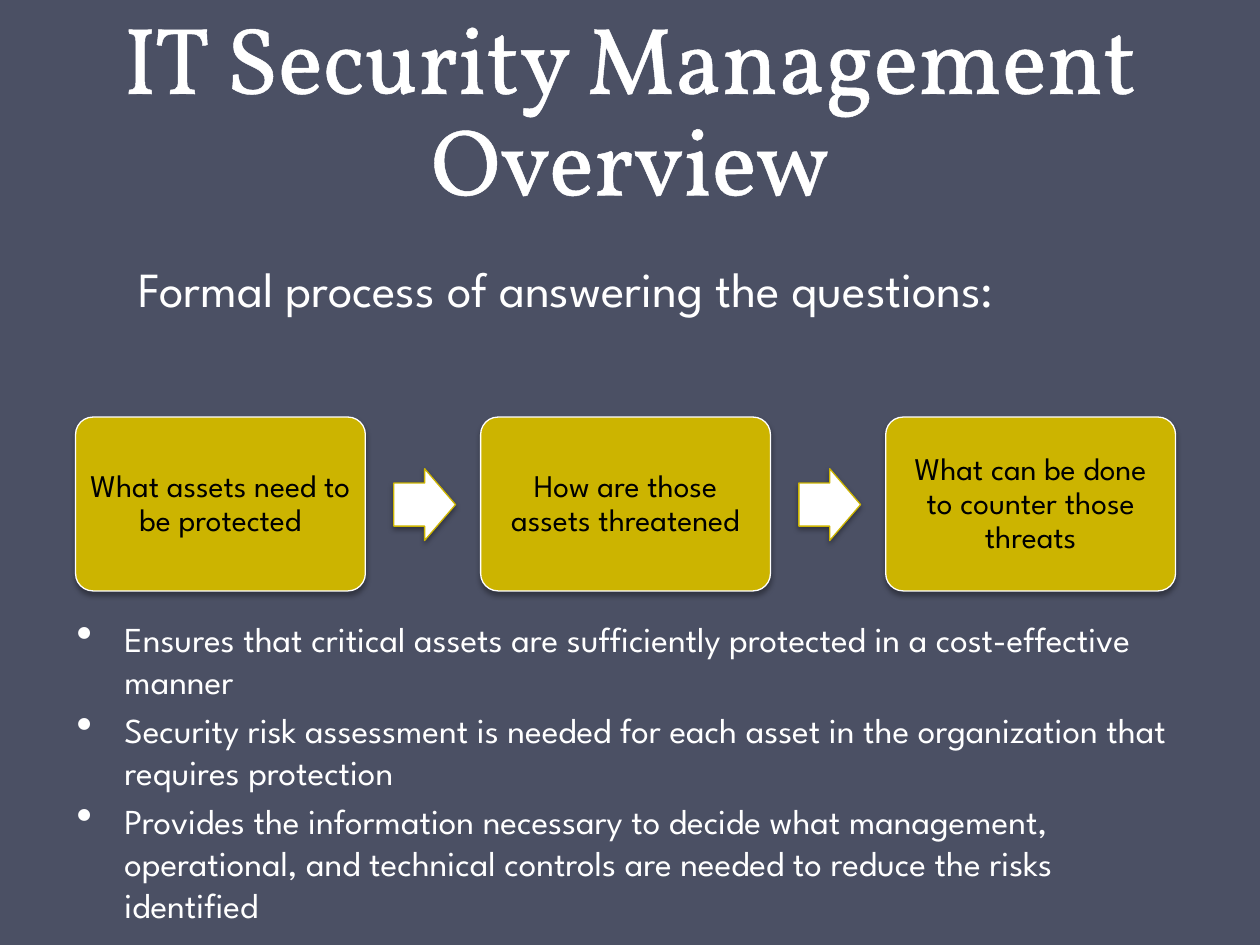
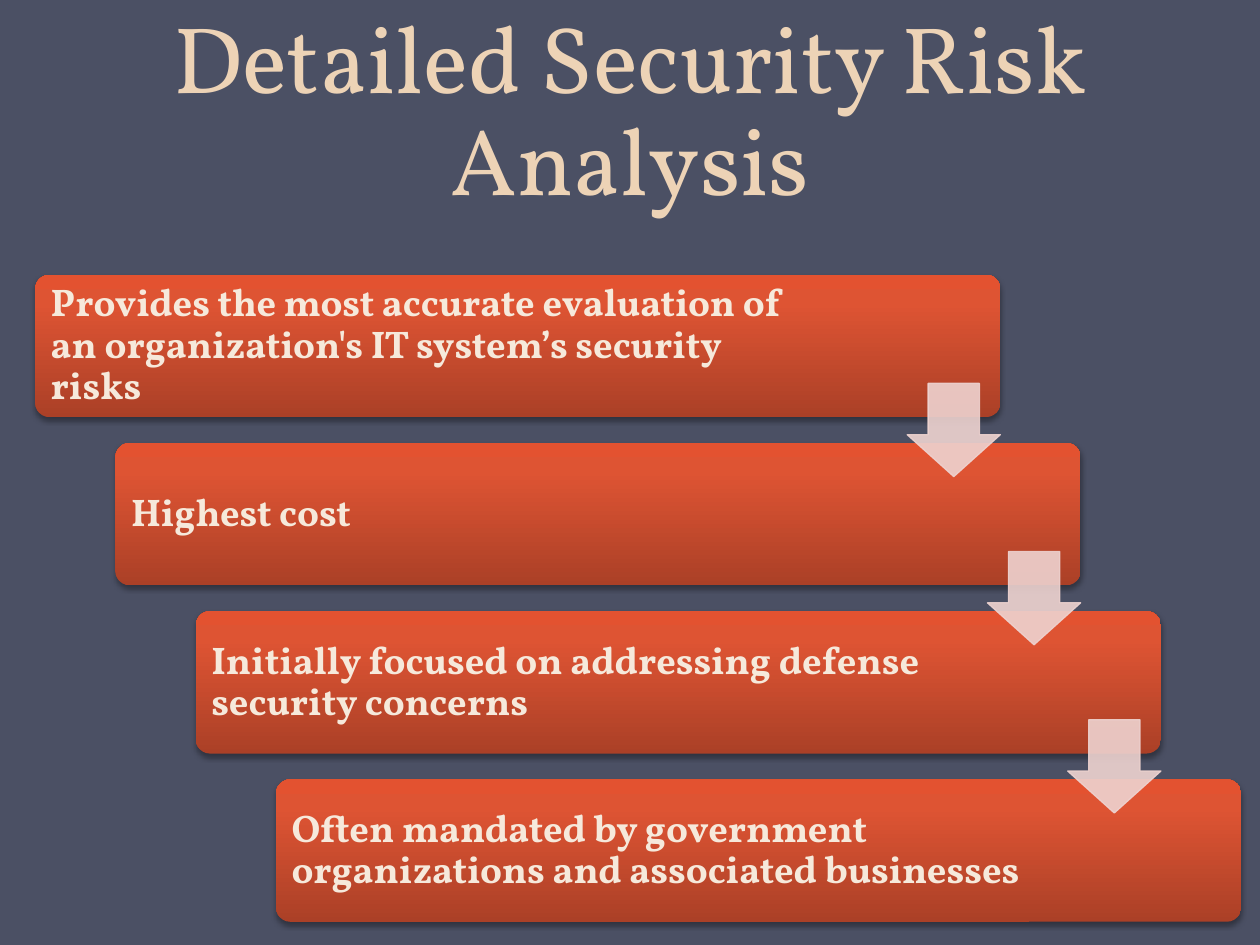
from dataclasses import dataclass
from lxml.etree import SubElement
from pptx import Presentation
from pptx.dml.color import RGBColor
from pptx.enum.shapes import MSO_SHAPE
from pptx.enum.text import MSO_ANCHOR, MSO_AUTO_SIZE, PP_ALIGN
from pptx.oxml import parse_xml
from pptx.oxml.ns import nsdecls, qn
from pptx.util import Inches, Pt


@dataclass(frozen=True)
class Theme:
    back: str = "4B5064"
    white: str = "FFFFFF"
    black: str = "000000"
    sand: str = "EDD3B6"
    cream: str = "F6E9DB"
    gold: str = "CCB400"
    pink: str = "EED3D0"
    ramp: tuple = ((0, "AB4027"), (80, "DE5433"), (100, "E35230"))
    serif: str = "Vollkorn"
    sans: str = "League Spartan"
    head: int = 54
    lead: int = 28
    bar: int = 22
    body: int = 20
    card: int = 18


look = Theme()
deck = Presentation()
deck.slide_width, deck.slide_height = Inches(10), Inches(7.5)
col, row = deck.slide_width / 100, deck.slide_height / 100


def write(frame, lines, face, size, tint, bold=False, align=PP_ALIGN.LEFT):
    frame.word_wrap = True
    frame.auto_size = MSO_AUTO_SIZE.NONE
    frame.text = "\n".join(lines)
    for para in frame.paragraphs:
        para.alignment = align
        for run in para.runs:
            run.font.name, run.font.size, run.font.bold = face, Pt(size), bold
            run.font.color.rgb = RGBColor.from_string(tint)


def draw(slide, kind, spot, bends, fill=None, edge=None, shade=True):
    x, y, w, h = spot
    shape = slide.shapes.add_shape(kind, int(x * col), int(y * row), int(w * col), int(h * row))
    for i, bend in enumerate(bends):
        shape.adjustments[i] = bend
    if fill:
        shape.fill.solid()
        shape.fill.fore_color.rgb = RGBColor.from_string(fill)
    if edge:
        shape.line.color.rgb = RGBColor.from_string(edge)
        shape.line.width = Pt(0.75)
    else:
        shape.line.fill.background()
    shape.shadow.inherit = False
    if shade:
        glow = SubElement(shape.element.spPr.find(qn("a:effectLst")), qn("a:outerShdw"),
                          blurRad="39400", dist="22900", dir="5400000", rotWithShape="0")
        dark = SubElement(glow, qn("a:srgbClr"), val=look.black)
        SubElement(dark, qn("a:alpha"), val="35000")
    return shape


pages = []
for name, tint in (("IT Security Management Overview", look.white),
                   ("Detailed Security Risk Analysis", look.sand)):
    slide = deck.slides.add_slide(deck.slide_layouts[5])
    slide.background.fill.solid()
    slide.background.fill.fore_color.rgb = RGBColor.from_string(look.back)
    title = slide.shapes.title
    title.left, title.top = int(5 * col), 0
    title.width, title.height = int(90 * col), Inches(1.75)
    write(title.text_frame, [name], look.serif, look.head, tint, align=PP_ALIGN.CENTER)
    title.text_frame.vertical_anchor = MSO_ANCHOR.BOTTOM
    title.text_frame.paragraphs[0].line_spacing = Pt(58)
    pages.append(slide)
first, second = pages

props = first.shapes.title.text_frame.paragraphs[0].runs[0].font._element
props.insert(0, parse_xml(
    f'<a:ln {nsdecls("a")} w="18400"><a:solidFill><a:srgbClr val="{look.white}"/></a:solidFill></a:ln>'))

points = [
    "Ensures that critical assets are sufficiently protected in a cost-effective manner",
    "Security risk assessment is needed for each asset in the organization that requires protection",
    "Provides the information necessary to decide what management, operational, and technical "
    "controls are needed to reduce the risks identified",
]
body = first.shapes.add_textbox(int(5.1 * col), int(64.67 * row), int(90 * col), int(35 * row))
write(body.text_frame, points, look.sans, look.body, look.white)
for i, para in enumerate(body.text_frame.paragraphs):
    if i:
        para.space_before = Pt(4)
    props = para._p.get_or_add_pPr()
    props.set("marL", str(Inches(0.38)))
    props.set("indent", str(-Inches(0.38)))
    SubElement(props, qn("a:buSzPct"), val="130000")
    SubElement(props, qn("a:buChar"), char="•")

asks = ["What assets need to be protected", "How are those assets threatened",
        "What can be done to counter those threats"]
for i, ask in enumerate(asks):
    left = 6 + 32.15 * i
    card = draw(first, MSO_SHAPE.ROUNDED_RECTANGLE, (left, 44.13, 23, 18.4), [0.1],
                look.gold, look.white)
    frame = card.text_frame
    write(frame, [ask], look.sans, look.card, look.black, align=PP_ALIGN.CENTER)
    frame.margin_left = frame.margin_right = Inches(0.07)
    frame.vertical_anchor = MSO_ANCHOR.MIDDLE
    frame.paragraphs[0].line_spacing = 0.9
    if i < len(asks) - 1:
        draw(first, MSO_SHAPE.RIGHT_ARROW, (left + 25.25, 49.6, 4.9, 7.6), [0.6, 0.5],
             look.white, look.gold)

lead = first.shapes.add_textbox(int(10 * col), int(26.67 * row), int(79.2 * col), int(18 * row))
write(lead.text_frame, ["Formal process of answering the questions:"],
      look.sans, look.lead, look.white)

facts = [
    "Provides the most accurate evaluation of an organization's IT system’s security risks",
    "Highest cost",
    "Initially focused on addressing defense security concerns",
    "Often mandated by government organizations and associated businesses",
]
stops = "".join(f'<a:gs pos="{at * 1000}"><a:srgbClr val="{tint}"/></a:gs>' for at, tint in look.ramp)
steps = [(2.8 + 6.37 * i, 29.07 + 17.8 * i) for i in range(len(facts))]
for (left, top), fact in zip(steps, facts):
    bar = draw(second, MSO_SHAPE.ROUNDED_RECTANGLE, (left, top, 76.6, 15.07), [0.1])
    bar.element.spPr.find(qn("a:prstGeom")).addnext(parse_xml(
        f'<a:gradFill {nsdecls("a")} rotWithShape="1"><a:gsLst>{stops}</a:gsLst>'
        '<a:lin ang="16200000" scaled="0"/></a:gradFill>'))
    frame = bar.text_frame
    write(frame, [fact], look.serif, look.bar, look.cream, bold=True)
    frame.margin_left, frame.margin_right = Inches(0.09), Inches(1.4)
    frame.vertical_anchor = MSO_ANCHOR.MIDDLE
    frame.paragraphs[0].line_spacing = 0.9

for left, top in steps[:-1]:
    arrow = draw(second, MSO_SHAPE.DOWN_ARROW, (left + 69.2, top + 11.5, 7.4, 9.87),
                 [0.55, 0.45], look.pink, look.pink, shade=False)
    for tint in arrow.element.spPr.iter(qn("a:srgbClr")):
        SubElement(tint, qn("a:alpha"), val="90000")

deck.save("out.pptx")
